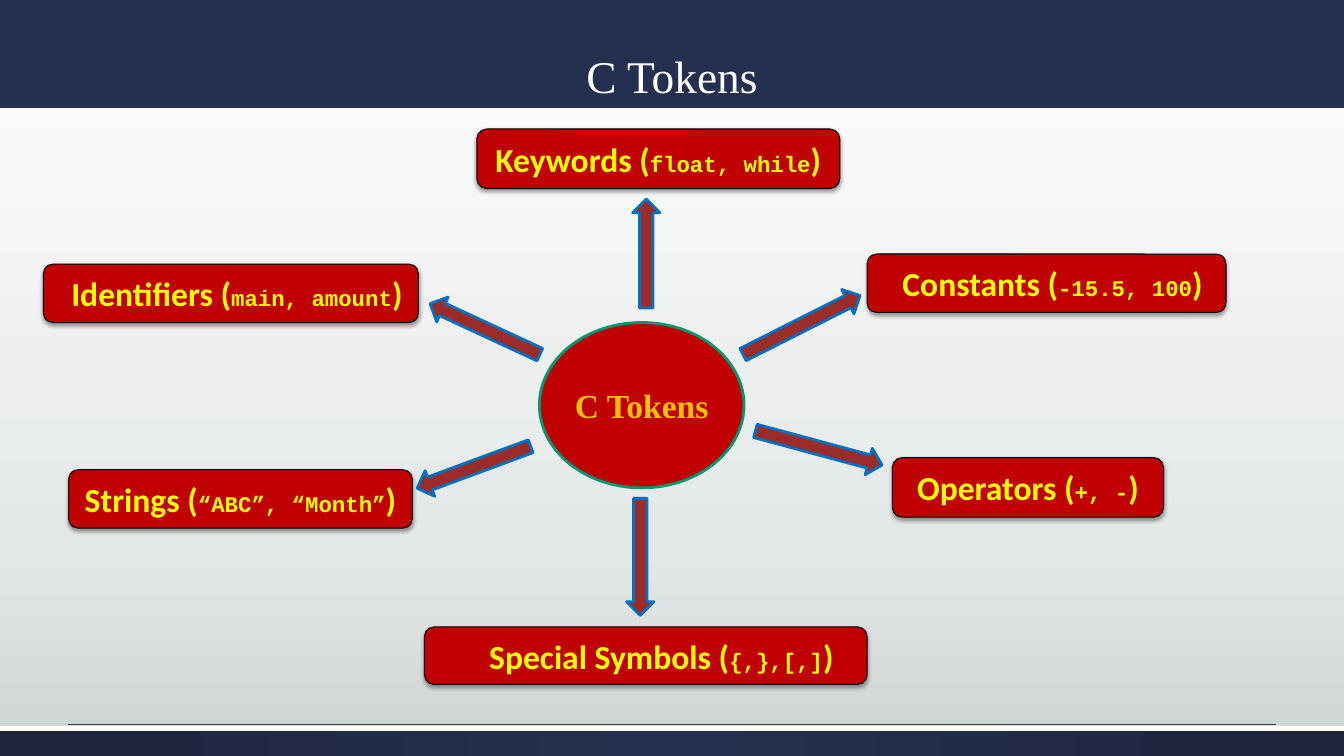
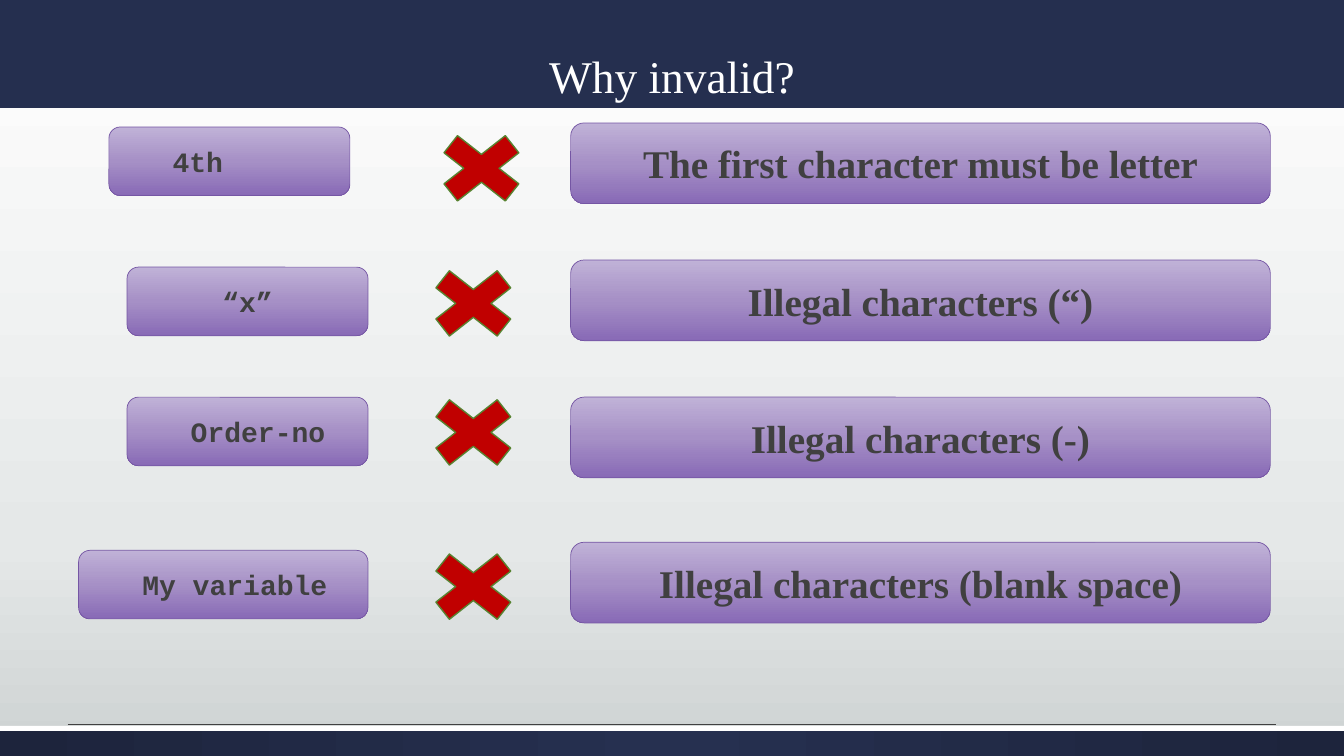
from lxml.etree import SubElement
from pptx import Presentation
from pptx.dml.color import RGBColor
from pptx.enum.shapes import MSO_CONNECTOR, MSO_SHAPE as Preset
from pptx.enum.text import MSO_ANCHOR as Anchor, PP_ALIGN as Align
from pptx.oxml.ns import qn
from pptx.util import Inches, Pt

WHITE = RGBColor(0xFF, 0xFF, 0xFF)
BLACK = RGBColor(0x00, 0x00, 0x00)
NAVY = RGBColor(0x25, 0x2F, 0x4F)
FOOTER_MID = RGBColor(0x26, 0x30, 0x50)
FOOTER_EDGE = RGBColor(0x1D, 0x24, 0x3C)
RED = RGBColor(0xC0, 0x00, 0x00)
YELLOW = RGBColor(0xFF, 0xFF, 0x00)
GOLD = RGBColor(0xFF, 0xC0, 0x00)
GREEN = RGBColor(0x00, 0x97, 0x71)
BRICK = RGBColor(0x9B, 0x2C, 0x29)
BLUE = RGBColor(0x00, 0x70, 0xC0)
LEAF = RGBColor(0x58, 0x83, 0x31)
PURPLE = RGBColor(0x75, 0x56, 0xA4)
GREY = RGBColor(0x40, 0x40, 0x40)

PAPER_STOPS = [(0, WHITE), (72, RGBColor(0xE5, 0xE8, 0xE8)), (100, RGBColor(0xCD, 0xD2, 0xD2))]
FOOTER_STOPS = [(0, FOOTER_EDGE), (50, FOOTER_MID), (100, FOOTER_EDGE)]
LILAC_STOPS = [(0, RGBColor(0xC0, 0xB2, 0xD7)), (50, RGBColor(0xA6, 0x90, 0xC6)),
               (100, RGBColor(0x88, 0x6A, 0xB6))]
DOWNWARD, RIGHTWARD = 270, 0

SERIF, SANS, MONO = "Times New Roman", "Calibri", "Courier New"
SLIDE_W, SLIDE_H = 13.33, 7.5
FOOTER_TOP = 7.2

TOKENS = [
    ("Keywords", "float, while", (4.73, 1.28, 3.6, 0.59), 0, (5.87, 2.38, 1.08, 270)),
    ("Constants", "-15.5, 100", (8.6, 2.52, 3.56, 0.58), 0.12, (7.3, 3.09, 1.3, 333.2)),
    ("Operators", "+, -", (8.85, 4.54, 2.69, 0.59), 0, (7.47, 4.31, 1.3, 15.1)),
    ("Special Symbols", "{,},[,]", (4.21, 6.22, 4.39, 0.57), 0.31, (5.77, 5.39, 1.16, 90)),
    ("Strings", "“ABC”, “Month”", (0.68, 4.66, 3.41, 0.58), 0, (4.1, 4.5, 1.2, 159.7)),
    ("Identifiers", "main, amount", (0.43, 2.62, 3.72, 0.58), 0.12, (4.21, 3.13, 1.2, 204.9)),
]
HUB = ("C Tokens", (5.35, 3.2, 2.03, 1.64))
ARROW_H = 0.27

INVALID_NAMES = [
    ("4th", Align.LEFT, (1.08, 1.26, 2.39), (4.19, 1.21), "The first character must be letter", 1.22),
    ("“x”", Align.CENTER, (1.26, 2.65, 2.39), (4.11, 2.55), "Illegal characters (“)", 2.58),
    ("Order-no", Align.LEFT, (1.26, 3.94, 2.39), (4.11, 3.83), "Illegal characters (-)", 3.94),
    ("My variable", Align.LEFT, (0.78, 5.46, 2.87), (4.11, 5.36), "Illegal characters (blank space)", 5.38),
]
NAME_H, NAME_INDENT = 0.68, 0.5
CROSS_SIZE = (1.17, 0.92)
REASON_LEFT, REASON_SIZE = 5.66, (6.94, 0.8)


def set_gradient(owner, fill, stops, angle):
    fill.gradient()
    fill.gradient_angle = angle
    stop_list = owner.find(".//" + qn("a:gsLst"))
    for old_stop in list(stop_list):
        stop_list.remove(old_stop)
    for percent, color in stops:
        stop = SubElement(stop_list, qn("a:gs"), pos=str(percent * 1000))
        SubElement(stop, qn("a:srgbClr"), val=str(color))


def add_preset(slide, preset, box, fill, line=None, line_width=1):
    shape = slide.shapes.add_shape(preset, *map(Inches, box))
    shape.shadow.inherit = False
    if isinstance(fill, RGBColor):
        shape.fill.solid()
        shape.fill.fore_color.rgb = fill
    else:
        set_gradient(shape.element.spPr, shape.fill, *fill)
    if line is None:
        shape.line.fill.background()
    else:
        shape.line.color.rgb = line
        shape.line.width = Pt(line_width)
    return shape


def write(shape, runs, color, bold=True, align=Align.CENTER, anchor=Anchor.MIDDLE, indent=0, wrap=True):
    frame = shape.text_frame
    frame.word_wrap = wrap
    frame.vertical_anchor = anchor
    paragraph = frame.paragraphs[0]
    paragraph.alignment = align
    if indent:
        properties = paragraph._p.get_or_add_pPr()
        properties.set("marL", str(Inches(indent)))
        properties.set("indent", "0")
    for words, font, size in runs:
        run = paragraph.add_run()
        run.text = words
        run.font.name = font
        run.font.size = Pt(size)
        run.font.bold = bold
        run.font.color.rgb = color


def drop_shadow(shape):
    effects = shape.element.spPr.find(qn("a:effectLst"))
    shadow = SubElement(effects, qn("a:outerShdw"), blurRad=str(Pt(3.1)), dist=str(Pt(1.6)),
                        dir="5400000", algn="ctr", rotWithShape="0")
    color = SubElement(shadow, qn("a:srgbClr"), val=str(BLACK))
    SubElement(color, qn("a:alpha"), val="38000")


def dress_layout(layout, slide):
    set_gradient(layout.element, layout.background.fill, PAPER_STOPS, DOWNWARD)
    band = add_preset(slide, Preset.RECTANGLE, (0, FOOTER_TOP, SLIDE_W, SLIDE_H - FOOTER_TOP),
                      (FOOTER_STOPS, RIGHTWARD))
    stripe = add_preset(slide, Preset.RECTANGLE, (0, FOOTER_TOP, SLIDE_W, 0.05), WHITE)
    rule = slide.shapes.add_connector(MSO_CONNECTOR.STRAIGHT, *map(Inches, (0.67, 7.19, 12.66, 7.19)))
    rule.line.color.rgb = GREY
    rule.line.width = Pt(0.5)
    SubElement(rule.element.spPr, qn("a:effectLst"))
    for part in (band, stripe, rule):
        layout.shapes.element.append(part.element)


def add_titled_slide(prs, layout, heading):
    slide = prs.slides.add_slide(layout)
    title = slide.shapes.title
    title.left, title.top, title.width, title.height = map(Inches, (0, 0, SLIDE_W, 1.07))
    title.fill.solid()
    title.fill.fore_color.rgb = NAVY
    write(title, [(heading, SERIF, 32.4)], WHITE, bold=False, anchor=Anchor.BOTTOM)
    return slide


def draw_tokens(slide):
    hub_text, hub_box = HUB
    hub = add_preset(slide, Preset.OVAL, hub_box, RED, GREEN, 2)
    write(hub, [(hub_text, SERIF, 24)], GOLD, wrap=False)
    for kind, examples, box, indent, (left, top, length, angle) in TOKENS:
        arrow = add_preset(slide, Preset.RIGHT_ARROW, (left, top, length, ARROW_H), BRICK, BLUE, 2)
        arrow.rotation = angle
        token = add_preset(slide, Preset.ROUNDED_RECTANGLE, box, RED, BLACK, 0.75)
        drop_shadow(token)
        runs = [(kind + " (", SANS, 24), (examples, MONO, 16), (")", SANS, 24)]
        write(token, runs, YELLOW, indent=indent)


def draw_invalid_names(slide):
    lilac = (LILAC_STOPS, DOWNWARD)
    for name, align, name_place, cross_place, reason, reason_top in INVALID_NAMES:
        name_box = add_preset(slide, Preset.ROUNDED_RECTANGLE, (*name_place, NAME_H), lilac, PURPLE, 0.5)
        indent = NAME_INDENT if align == Align.LEFT else 0
        write(name_box, [(name, MONO, 20)], GREY, align=align, indent=indent)
        add_preset(slide, Preset.MATH_MULTIPLY, (*cross_place, *CROSS_SIZE), RED, LEAF, 1)
        reason_box = add_preset(slide, Preset.ROUNDED_RECTANGLE, (REASON_LEFT, reason_top, *REASON_SIZE),
                                lilac, PURPLE, 0.5)
        write(reason_box, [(reason, SERIF, 28)], GREY)


def main():
    prs = Presentation()
    prs.slide_width, prs.slide_height = Inches(SLIDE_W), Inches(SLIDE_H)
    layout = prs.slide_layouts.get_by_name("Title Only")
    tokens = add_titled_slide(prs, layout, "C Tokens")
    dress_layout(layout, tokens)
    draw_tokens(tokens)
    draw_invalid_names(add_titled_slide(prs, layout, "Why invalid?"))
    prs.save("out.pptx")


if __name__ == "__main__":
    main()
